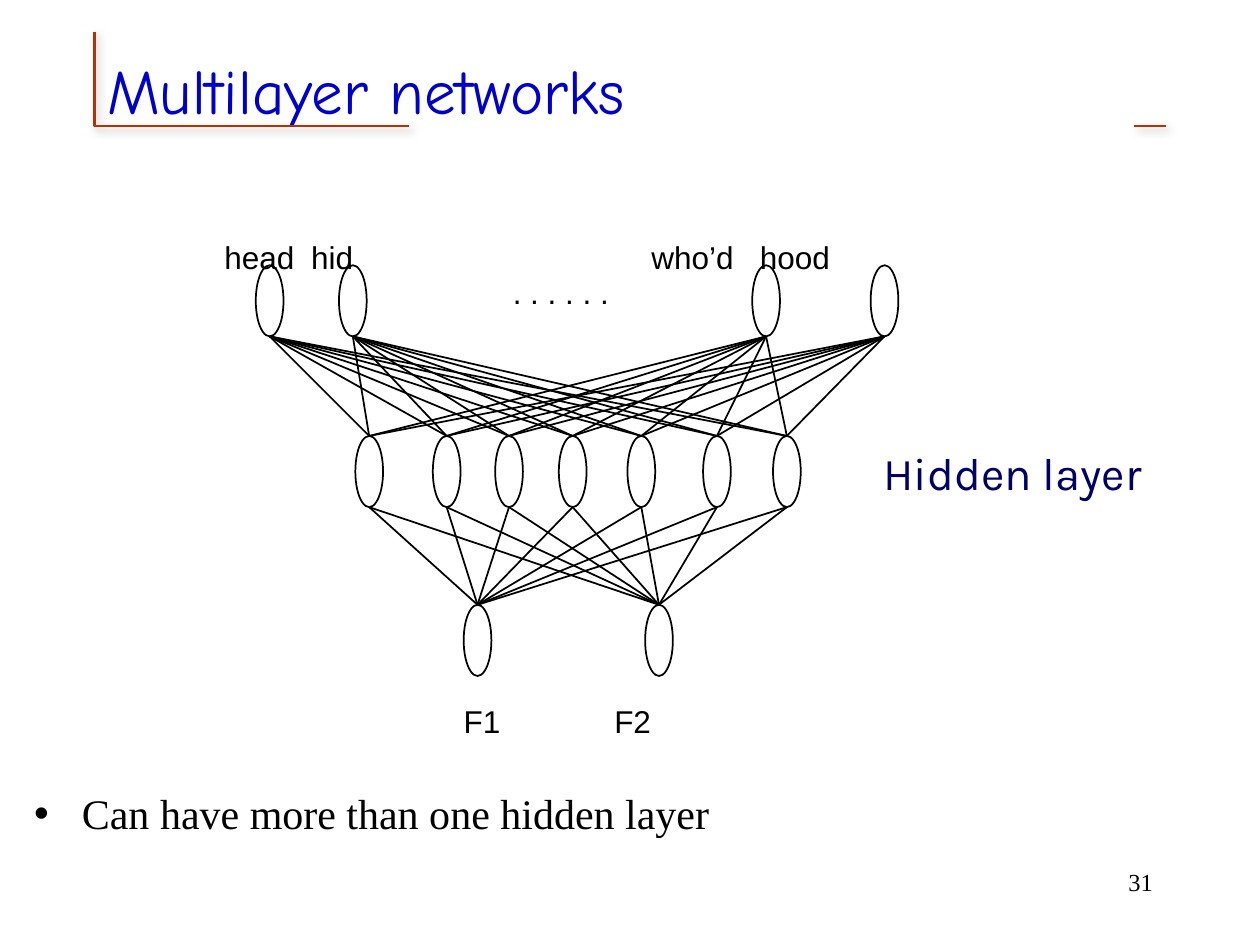
from itertools import product
from lxml.etree import SubElement as Sub
from pptx import Presentation
from pptx.dml.color import RGBColor
from pptx.enum.shapes import MSO_CONNECTOR as Link, MSO_SHAPE as Kind
from pptx.enum.text import MSO_ANCHOR as Anchor, MSO_AUTO_SIZE as Fit, PP_ALIGN as Align
from pptx.oxml.ns import qn
from pptx.util import Inches, Pt

BLACK = RGBColor(0, 0, 0)
WHITE = RGBColor(255, 255, 255)
BLUE = RGBColor(0, 0, 0xCC)
NAVY = RGBColor(0, 0, 0x66)
RUST = RGBColor(0xAF, 0x34, 0x08)

# The slide is a grid of 40 columns by 30 rows of square cells.
WIDE, HIGH = Inches(10), Inches(7.5)
CELL = WIDE // 40

NODE_W, NODE_H = 0.88, 2.26
# Each layer: top row, then the centre column of every node.
WORDS = (8.42, (8.56, 11.2, 24.32, 28.08))
HIDDEN = (13.84, (11.72, 14.18, 16.16, 18.18, 20.36, 22.76, 24.98))
INPUTS = (19.2, (15.16, 20.92))


def grid(*cells):
    """Turn grid cells into slide lengths."""
    return [round(cell * CELL) for cell in cells]


def move(shape, *box):
    """Put a shape at left, top, width and height in cells."""
    shape.left, shape.top, shape.width, shape.height = grid(*box)


def write(frame, text, size, font, color, align=Align.LEFT, before=0):
    """Write one run in the first paragraph and return the paragraph."""
    frame.word_wrap = True
    frame.auto_size = Fit.NONE
    para = frame.paragraphs[0]
    para.alignment = align
    para.space_before = Pt(before)
    run = para.add_run()
    run.text = text
    run.font.size = Pt(size)
    run.font.name = font
    run.font.color.rgb = color
    return para


def label(slide, box, text, size=18, font="Arial", color=BLACK, stops=(), **more):
    """Add a text box, with tab stops in cells where words stand apart."""
    frame = slide.shapes.add_textbox(*grid(*box)).text_frame
    frame.margin_left = frame.margin_right = Inches(0.09)
    para = write(frame, text, size, font, color, **more)
    if stops:
        tabs = Sub(para._p.get_or_add_pPr(), qn("a:tabLst"))
        for stop in grid(*stops):
            Sub(tabs, qn("a:tab"), pos=str(stop), algn="l")


def corner(slide, start, *points):
    """Draw an open corner line with a soft shadow."""
    pen = slide.shapes.build_freeform(*start, scale=CELL)
    pen.add_line_segments(points, close=False)
    shape = pen.convert_to_shape()
    shape.fill.background()
    shape.line.color.rgb = RUST
    shape.line.width = Pt(1.5)
    shape.shadow.inherit = False
    glow = shape._element.spPr.find(qn("a:effectLst"))
    cast = Sub(glow, qn("a:outerShdw"), blurRad=str(Pt(5)), dist=str(Pt(2.8)),
               dir="2700000", algn="ctr", rotWithShape="0")
    tint = Sub(cast, qn("a:srgbClr"), val="808080")
    Sub(tint, qn("a:alpha"), val="50000")


def nodes(slide, layer):
    """Draw the ovals of one layer."""
    top, mids = layer
    for mid in mids:
        box = grid(mid - NODE_W / 2, top, NODE_W, NODE_H)
        oval = slide.shapes.add_shape(Kind.OVAL, *box)
        oval.shadow.inherit = False
        oval.fill.solid()
        oval.fill.fore_color.rgb = WHITE
        oval.line.color.rgb = BLACK
        oval.line.width = Pt(1)


def links(slide, upper, lower):
    """Join every node of one layer to every node of the next."""
    foot, head = upper[0] + NODE_H, lower[0]
    for start, end in product(upper[1], lower[1]):
        line = slide.shapes.add_connector(
            Link.STRAIGHT, *grid(start, foot, end, head))
        line.line.color.rgb = BLACK
        line.line.width = Pt(1)
        Sub(line._element.spPr, qn("a:effectLst"))


def heading(slide, text):
    """Fill the title placeholder and frame it with corners."""
    title = slide.shapes.title
    move(title, 3, 1, 34, 3.68)
    title.text_frame.vertical_anchor = Anchor.MIDDLE
    write(title.text_frame, text, 36, "Comic Neue", BLUE)
    corner(slide, (2.68, 1.32), (2.68, 4.44), (13.36, 4.44))
    corner(slide, (37.04, 3.64), (37.04, 4.44), (35.92, 4.44))


def bullet(slide, text):
    """Fill the body placeholder with one bulleted line."""
    body = slide.placeholders[1]
    move(body, 0.68, 24.8, 39.32, 3.2)
    para = write(body.text_frame, text, 24, "Times New Roman", BLACK, before=3.5)
    props = para._p.get_or_add_pPr()
    hang = Inches(0.38)
    props.set("marL", str(hang))
    props.set("indent", str(-hang))
    Sub(props, qn("a:buChar"), char="•")


def main():
    """Build the slide and save it."""
    deck = Presentation()
    deck.slide_width, deck.slide_height = WIDE, HIGH
    slide = deck.slides.add_slide(deck.slide_layouts[1])
    heading(slide, "Multilayer networks")
    for layer in (HIDDEN, WORDS, INPUTS):
        nodes(slide, layer)
    links(slide, HIDDEN, INPUTS)
    links(slide, WORDS, HIDDEN)
    label(slide, (14.36, 22.08, 6.76, 1.6), "F1\tF2", stops=(4.78,))
    label(slide, (15.92, 8.48, 3.84, 1.6), ". . . . . .")
    label(slide, (6.76, 7.36, 20.16, 1.6), "head\thid\twho’d\thood",
          stops=(2.76, 13.56, 17)) 
    label(slide, (27.68, 13.92, 9.4, 2.12), "Hidden layer", 26, "Karla", NAVY)
    bullet(slide, "Can have more than one hidden layer")
    label(slide, (28.68, 27.32, 8.28, 2), "31", 14, "Times New Roman",
          align=Align.RIGHT, before=1.5)
    deck.save("out.pptx")


main()
